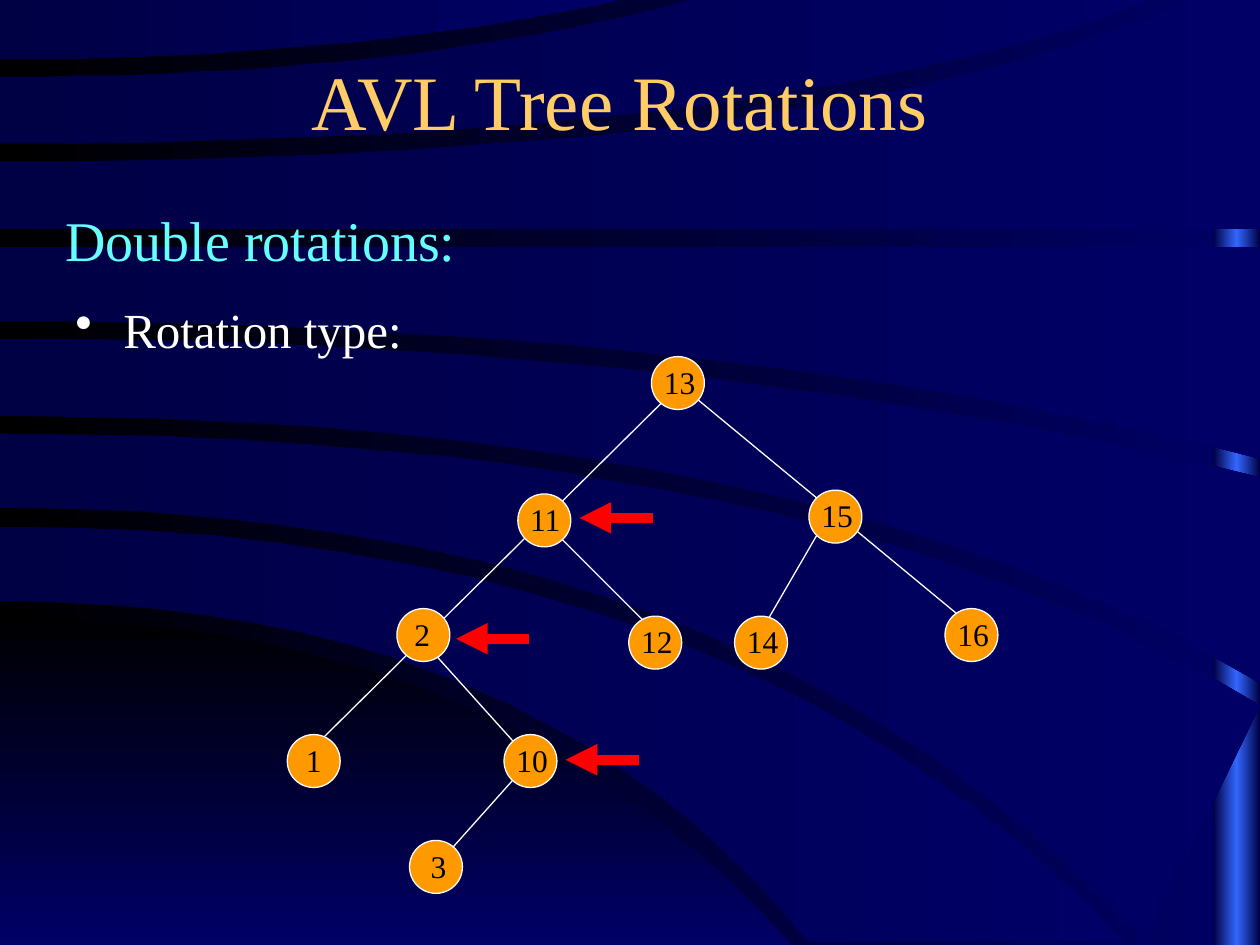
"""Build the AVL tree double rotation slide."""
from copy import deepcopy
from dataclasses import dataclass

from lxml import etree
from pptx import Presentation
from pptx import util as u
from pptx.dml.color import RGBColor
from pptx.enum import shapes, text
from pptx.oxml import ns

PX = 9144


@dataclass(frozen=True)
class Theme:
    font: str = "Times New Roman"
    black: str = "000000"
    white: str = "FFFFFF"
    navy: str = "000066"
    dusk: str = "000044"
    glow: str = "3366FF"
    gold: str = "FFCC66"
    cyan: str = "66FFFF"
    node: str = "FF9900"
    pointer: str = "FF0000"
    title_size: int = 44
    heading_size: int = 32
    bullet_size: int = 28
    label_size: int = 18
    edge_width: float = 0.75
    pointer_width: int = 6


theme = Theme()


def shade(fill, colours, angle=0):
    fill.gradient()
    fill.gradient_angle = angle
    last = fill.gradient_stops[-1]._gs
    for _ in colours[2:]:
        last.addnext(deepcopy(last))
    for index, (stop, colour) in enumerate(zip(fill.gradient_stops, colours)):
        stop.color.rgb = RGBColor.from_string(colour)
        stop.position = index / (len(colours) - 1)


def write(box, words, size, colour):
    box.text_frame.word_wrap = True
    para = box.text_frame.paragraphs[0]
    span = para.add_run()
    span.text = words
    span.font.name = theme.font
    span.font.size = u.Pt(size)
    span.font.color.rgb = RGBColor.from_string(colour)
    return para


deck = Presentation()
deck.slide_width, deck.slide_height = 1000 * PX, 750 * PX
page = deck.slides.add_slide(deck.slide_layouts[5])
shade(page.background.fill, [theme.black, theme.navy])

strip = page.shapes.add_shape(shapes.MSO_SHAPE.RECTANGLE, 963 * PX, 0, 37 * PX, 750 * PX)
shade(strip.fill, [theme.dusk, theme.glow, theme.dusk])
strip.line.fill.background()
strip.shadow.inherit = False

hill = [(491, 400, 628, 750), (750, 314, 628, 750)]
bands = [
    [(418, 580, 893, 748), (477, 425, 642, 748)],
    [(344, 645, 1000, 560), (403, 595, 909, 748)],
    [(269, 555, 1000, 379), (330, 640, 1000, 542)],
    [(196, 500, 1000, 196), (255, 570, 1000, 364)],
    [(128, 670, 940, 0), (182, 500, 1000, 182)],
    [(61, 326, 548, 0), (114, 620, 913, 0)],
    [(0, 246, 491, 0), (47, 276, 491, 0)],
]
steps = 20
for curve in [hill] + bands:
    upper, lower = [
        [(round(2 * bend * t * (1 - t) + end_x * t * t), round(start_y + (end_y - start_y) * t * t))
         for t in (step / steps for step in range(steps + 1))]
        for start_y, bend, end_x, end_y in curve]
    corner = (max(upper[-1][0], lower[-1][0]), upper[-1][1])
    builder = page.shapes.build_freeform(*upper[0], scale=PX)
    builder.add_line_segments(upper[1:] + [corner] + lower[::-1], close=True)
    sweep = builder.convert_to_shape()
    if curve is hill:
        shade(sweep.fill, [theme.black, theme.navy], 270)
    else:
        shade(sweep.fill, [theme.dusk, theme.navy])
    sweep.line.fill.background()
    sweep.shadow.inherit = False

title = page.shapes.title
page.shapes._spTree.append(title._element)
title.left, title.top, title.width, title.height = 67 * PX, 17 * PX, 850 * PX, 125 * PX
title.text_frame.vertical_anchor = text.MSO_ANCHOR.MIDDLE
para = write(title, "AVL Tree Rotations", theme.title_size, theme.gold)
para.alignment = text.PP_ALIGN.CENTER

heading = page.shapes.add_textbox(42 * PX, 158 * PX, 933 * PX, 67 * PX)
write(heading, "Double rotations:", theme.heading_size, theme.cyan)

item = page.shapes.add_textbox(50 * PX, 233 * PX, 458 * PX, 67 * PX)
para = write(item, "Rotation type:", theme.bullet_size, theme.white)
properties = para._p.get_or_add_pPr()
properties.set("marL", str(38 * PX))
properties.set("indent", str(-38 * PX))
etree.SubElement(properties, ns.qn("a:buChar"), char="•")

edges = [
    (417, 608, 350, 683), (250, 592, 539, 306), (335, 508, 425, 608),
    (426, 408, 526, 508), (658, 408, 600, 508), (533, 300, 775, 500),
]
pointers = [(tip + 58, y, tip, y) for tip, y in [(460, 411), (449, 603), (362, 507)]]
for ends in edges + pointers:
    line = page.shapes.add_connector(
        shapes.MSO_CONNECTOR.STRAIGHT, *[end * PX for end in ends])
    is_pointer = ends in pointers
    line.line.color.rgb = RGBColor.from_string(theme.pointer if is_pointer else theme.white)
    line.line.width = u.Pt(theme.pointer_width if is_pointer else theme.edge_width)
    if is_pointer:
        etree.SubElement(line.line._get_or_add_ln(), ns.qn("a:tailEnd"), type="triangle")
    etree.SubElement(line._element.spPr, ns.qn("a:effectLst"))

nodes = [
    ("1", 228, 583, 5), ("10", 400, 583, 0), ("13", 517, 283, 0),
    ("15", 642, 389, 0), ("16", 750, 483, 0), ("11", 411, 392, 0),
    ("14", 583, 489, 0), ("2", 315, 483, 4), ("12", 499, 489, 0), ("3", 325, 667, 7),
]
for key, left, top, shift in nodes:
    node = page.shapes.add_shape(
        shapes.MSO_SHAPE.OVAL, left * PX, top * PX, 42 * PX, 42 * PX)
    node.fill.solid()
    node.fill.fore_color.rgb = RGBColor.from_string(theme.node)
    node.line.color.rgb = RGBColor.from_string(theme.white)
    node.line.width = u.Pt(theme.edge_width)
    node.shadow.inherit = False
    label = page.shapes.add_textbox((left + shift) * PX, top * PX, 50 * PX, 40 * PX)
    write(label, key, theme.label_size, theme.black)

deck.save("out.pptx")
